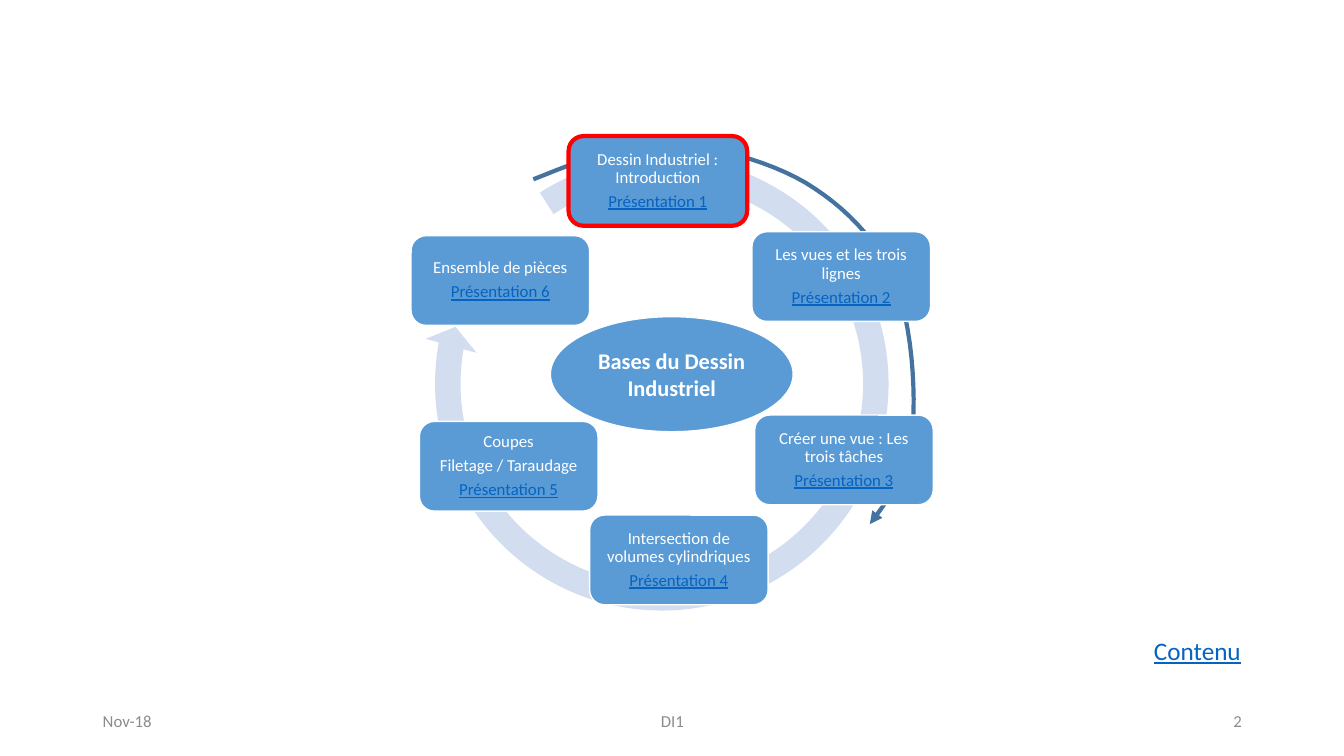
"""Builds the course-cycle slide with its six presentations around a centre."""
from lxml.etree import SubElement
from pptx import Presentation
from pptx.dml.color import RGBColor
from pptx.enum.shapes import MSO_SHAPE
from pptx.enum.text import MSO_ANCHOR, PP_ALIGN
from pptx.oxml.ns import qn
from pptx.util import Cm, Pt

WHITE = RGBColor(0xFF, 0xFF, 0xFF)
BLUE = RGBColor(0x5B, 0x9B, 0xD5)
PALE_BLUE = RGBColor(0xD2, 0xDE, 0xEF)
DARK_BLUE = RGBColor(0x43, 0x73, 0x9E)
LINK_BLUE = RGBColor(0x05, 0x63, 0xC1)
RED = RGBColor(0xFF, 0x00, 0x00)
GREY = RGBColor(0x8C, 0x8C, 0x8C)


def add_paragraph(frame, text, size, color, align, bold=False, underline=False):
    first = frame.paragraphs[0]
    para = first if not first.runs else frame.add_paragraph()
    para.alignment = align
    span = para.add_run()
    span.text = text
    span.font.name = "Calibri"
    span.font.size = Pt(size)
    span.font.color.rgb = color
    span.font.bold = bold
    span.font.underline = underline
    return para


def add_filled(kind, left, top, width, height, fill, line=None, weight=1):
    shape = page.shapes.add_shape(kind, Cm(left), Cm(top), Cm(width), Cm(height))
    shape.shadow.inherit = False
    shape.fill.solid()
    shape.fill.fore_color.rgb = fill
    if line is None:
        shape.line.fill.background()
    else:
        shape.line.color.rgb = line
        shape.line.width = Pt(weight)
    return shape


deck = Presentation()
deck.slide_width, deck.slide_height = Cm(33.87), Cm(19.05)
page = deck.slides.add_slide(deck.slide_layouts[6])

footers = [
    ("Nov-18", 2.34, 7.62, PP_ALIGN.LEFT),
    ("DI1", 11.23, 11.43, PP_ALIGN.CENTER),
    ("2", 23.93, 7.62, PP_ALIGN.RIGHT),
]
for text, left, width, align in footers:
    box = page.shapes.add_textbox(Cm(left), Cm(17.65), Cm(width), Cm(1.02))
    box.text_frame.word_wrap = True
    box.text_frame.vertical_anchor = MSO_ANCHOR.MIDDLE
    add_paragraph(box.text_frame, text, 12, GREY, align)

start = (13.44, 4.52)
curves = [
    ((14.53, 4.09), (15.6, 3.63), (16.74, 3.63)),
    ((17.91, 3.66), (19.33, 4.04), (20.29, 4.6)),
    ((21.26, 5.18), (22.1, 6.02), (22.53, 7.06)),
    ((22.99, 8.13), (23.09, 9.91), (22.99, 10.95)),
    ((22.86, 11.96), (22.4, 12.57), (21.92, 13.21)),
]
STEPS = 12
points = [start]
for control_1, control_2, end in curves:
    origin = points[-1]
    for step in range(1, STEPS + 1):
        t = step / STEPS
        weights = ((1 - t) ** 3, 3 * t * (1 - t) ** 2, 3 * t * t * (1 - t), t ** 3)
        knots = (origin, control_1, control_2, end)
        points.append(tuple(
            sum(weight * knot[axis] for weight, knot in zip(weights, knots))
            for axis in (0, 1)
        ))
builder = page.shapes.build_freeform(Cm(start[0]), Cm(start[1]))
builder.add_line_segments([(Cm(x), Cm(y)) for x, y in points[1:]], close=False)
progress = builder.convert_to_shape()
progress.shadow.inherit = False
progress.fill.background()
progress.line.color.rgb = DARK_BLUE
progress.line.width = Pt(3)
SubElement(progress.line._get_or_add_ln(), qn("a:tailEnd"), type="triangle")

cycle = add_filled(MSO_SHAPE.CIRCULAR_ARROW, 10.62, 3.61, 12.12, 12.12, PALE_BLUE)
cycle.rotation = 312.4
for index, value in enumerate((0.053, 3.126, 142.684, 171.035, 0.055)):
    cycle.adjustments[index] = value

topics = [
    (14.33, 3.43, ["Dessin Industriel : Introduction"]),
    (18.95, 5.84, ["Les vues et les trois lignes"]),
    (19.02, 10.46, ["Créer une vue : Les trois tâches"]),
    (14.86, 12.98, ["Intersection de volumes cylindriques"]),
    (10.57, 10.62, ["Coupes", "Filetage / Taraudage"]),
    (10.36, 5.94, ["Ensemble de pièces"]),
]
for number, (left, top, titles) in enumerate(topics, 1):
    line, weight = (RED, 3) if number == 1 else (WHITE, 1)
    card = add_filled(MSO_SHAPE.ROUNDED_RECTANGLE, left, top, 4.5, 2.26, BLUE, line, weight)
    frame = card.text_frame
    frame.word_wrap = True
    frame.vertical_anchor = MSO_ANCHOR.MIDDLE
    frame.margin_left = frame.margin_right = Cm(0.12)
    frame.margin_top = frame.margin_bottom = Cm(0.12)
    paras = [add_paragraph(frame, title, 12, WHITE, PP_ALIGN.CENTER) for title in titles]
    paras.append(add_paragraph(frame, f"Présentation {number}", 12, LINK_BLUE,
                               PP_ALIGN.CENTER, underline=True))
    for para in paras:
        para.line_spacing = 0.9
        para.space_after = Pt(4.2)

centre = add_filled(MSO_SHAPE.OVAL, 13.87, 7.98, 6.12, 2.9, BLUE, WHITE)
centre.text_frame.word_wrap = True
centre.text_frame.vertical_anchor = MSO_ANCHOR.MIDDLE
add_paragraph(centre.text_frame, "Bases du Dessin Industriel", 16, WHITE,
              PP_ALIGN.CENTER, bold=True)

contents = page.shapes.add_textbox(Cm(28.83), Cm(15.88), Cm(3.12), Cm(1.02))
contents.text_frame.word_wrap = True
add_paragraph(contents.text_frame, "Contenu", 18, LINK_BLUE, PP_ALIGN.LEFT, underline=True)

deck.save("out.pptx")
